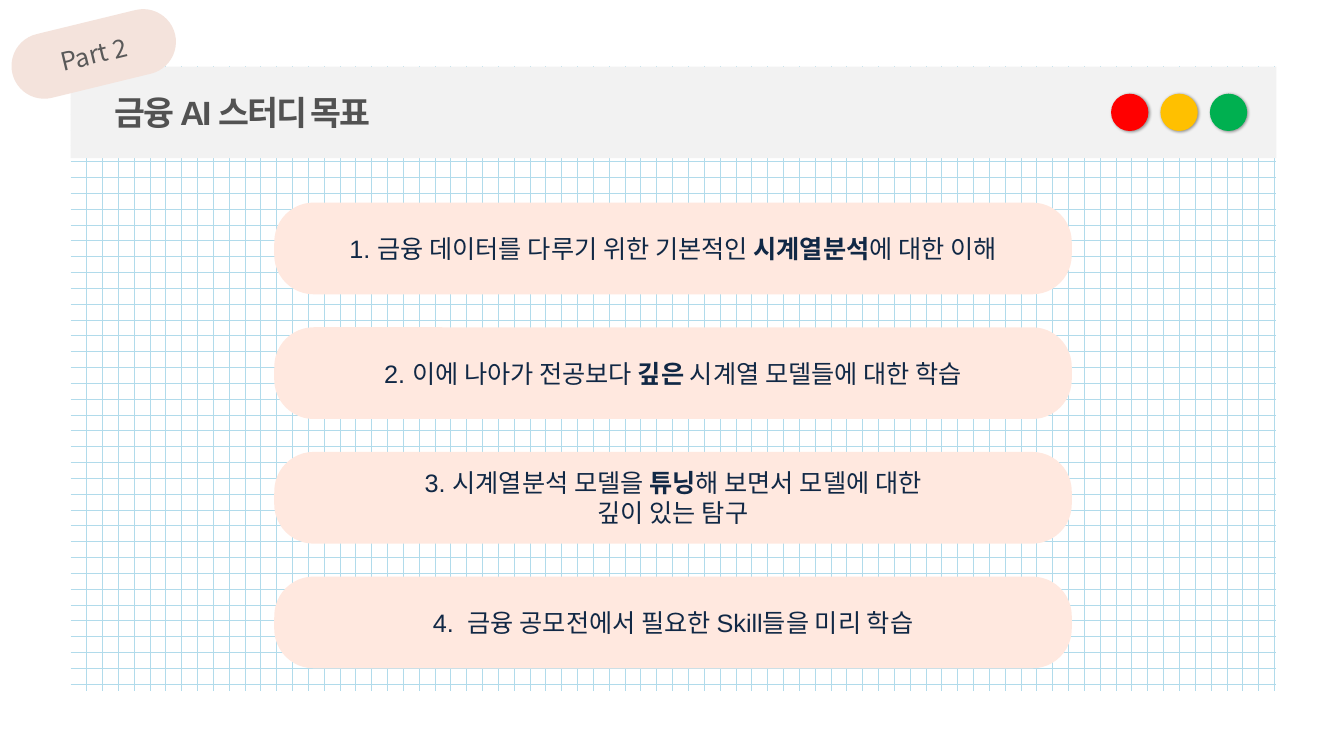
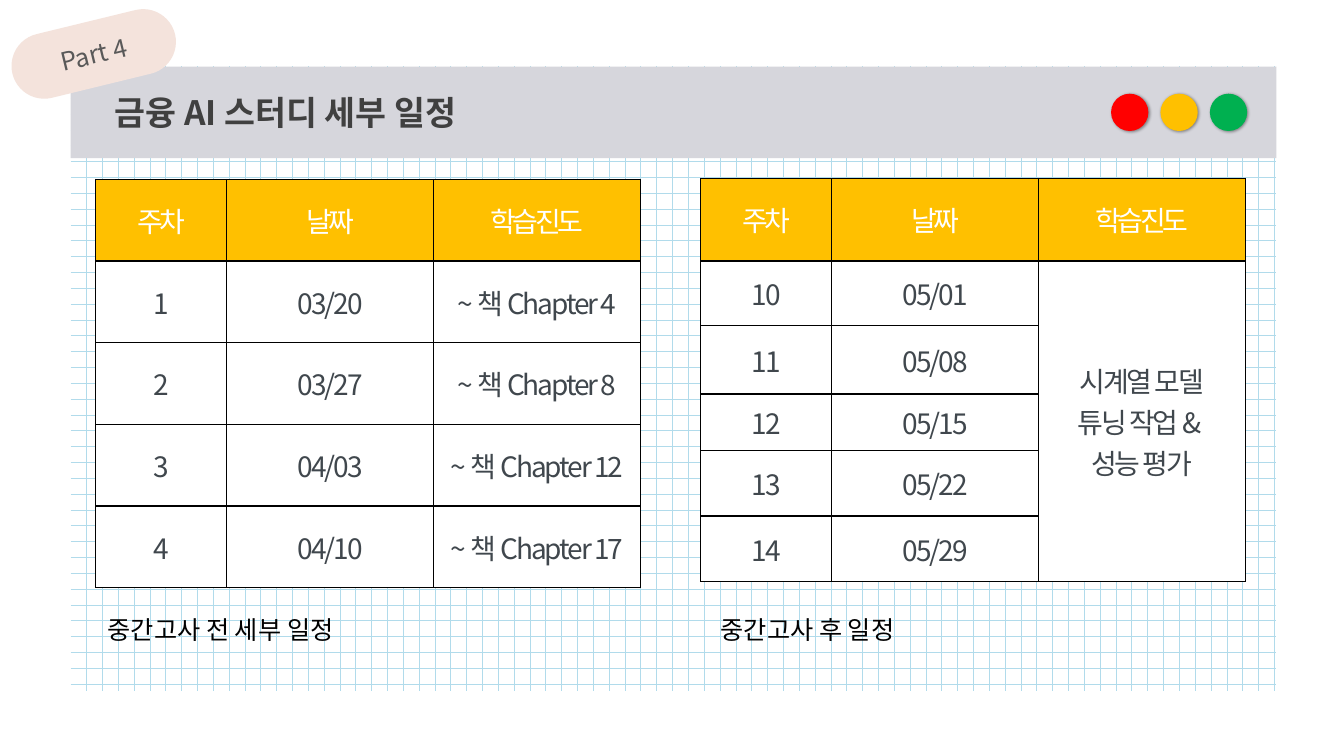
from dataclasses import dataclass

from lxml import etree
from pptx import Presentation
from pptx.dml.color import RGBColor
from pptx.enum.dml import MSO_PATTERN
from pptx.enum.shapes import MSO_SHAPE
from pptx.enum.text import MSO_ANCHOR, PP_ALIGN
from pptx.oxml import parse_xml
from pptx.oxml.ns import nsdecls, qn
from pptx.util import Inches, Pt

RECT = MSO_SHAPE.RECTANGLE
ROUND = MSO_SHAPE.ROUNDED_RECTANGLE
OVAL = MSO_SHAPE.OVAL
LEFT, CENTER = PP_ALIGN.LEFT, PP_ALIGN.CENTER
MIDDLE = MSO_ANCHOR.MIDDLE
GRID = MSO_PATTERN.DOTTED_GRID


@dataclass(frozen=True)
class TextStyle:
    size: float
    color: str
    font: str
    bold: bool = False
    spacing: float = 0


@dataclass(frozen=True)
class Theme:
    sans: str = "Arial"
    korean: str = "Noto Sans CJK KR"
    paper: str = "FFFFFF"
    grid: str = "B1DBEB"
    tag_fill: str = "F4E3DC"
    goal_fill: str = "FFE8DF"
    header_fill: str = "FFC000"
    border: str = "000000"
    lights: tuple = ("FF0000", "FFC000", "00B050")
    light_band: str = "F2F2F2"
    gray_band: str = "D6D6DC"
    goal_title: TextStyle = TextStyle(24, "525252", "Arial", True, -1.5)
    plan_title: TextStyle = TextStyle(24, "404040", "Noto Sans CJK KR", True)
    tag: TextStyle = TextStyle(18, "595959", "Noto Sans CJK KR")
    goal: TextStyle = TextStyle(18, "112845", "Arial")
    caption: TextStyle = TextStyle(18, "000000", "Arial")
    header: TextStyle = TextStyle(20, "FFFFFF", "Noto Sans CJK KR", False, -3)
    cell: TextStyle = TextStyle(20, "40474D", "Noto Sans CJK KR", False, -1.5)


T = Theme()
WINDOW = (0.7, 0.66, 11.96, 6.2)

GOALS = [
    "1. 금융 데이터를 다루기 위한 기본적인 **시계열분석**에 대한 이해",
    "2. 이에 나아가 전공보다 **깊은** 시계열 모델들에 대한 학습",
    "3. 시계열분석 모델을 **튜닝**해 보면서 모델에 대한\n깊이 있는 탐구",
    "4.  금융 공모전에서 필요한 Skill들을 미리 학습",
]
HEADINGS = ["주차", "날짜", "학습 진도"]
BEFORE = [
    ["1", "03/20", "~ 책 Chapter 4"],
    ["2", "03/27", "~ 책 Chapter 8"],
    ["3", "04/03", "~ 책 Chapter 12"],
    ["4", "04/10", "~ 책 Chapter 17"],
]
AFTER = [
    ["10", "05/01", "시계열 모델\n튜닝 작업 & \n성능 평가"],
    ["11", "05/08", ""],
    ["12", "05/15", ""],
    ["13", "05/22", ""],
    ["14", "05/29", ""],
]


def rgb(value):
    return RGBColor.from_string(value)


def inches(box):
    return [Inches(v) for v in box]


def write(tf, text, style, align=CENTER):
    tf.word_wrap = True
    for i, line in enumerate(text.split("\n")):
        p = tf.add_paragraph() if i else tf.paragraphs[0]
        p.alignment = align
        p.font.size = Pt(style.size)
        p.font.name = style.font
        p.font.bold = style.bold
        p.font.color.rgb = rgb(style.color)
        props = p._p.pPr.find(qn("a:defRPr"))
        props.set("spc", str(round(style.spacing * 100)))
        ea = etree.SubElement(props, qn("a:ea"))
        ea.set("typeface", T.korean)
        for j, part in enumerate(line.split("**")):
            if part:
                r = p.add_run()
                r.text = part
                if j % 2:
                    r.font.bold = True


def add_box(s, kind, box, fill, radius=None):
    sp = s.shapes.add_shape(kind, *inches(box))
    sp.shadow.inherit = False
    sp.line.fill.background()
    sp.fill.solid()
    sp.fill.fore_color.rgb = rgb(fill)
    if radius is not None:
        sp.adjustments[0] = radius
    sp.text_frame.vertical_anchor = MIDDLE
    return sp


def add_label(s, box, text, style):
    tf = s.shapes.add_textbox(*inches(box)).text_frame
    tf.vertical_anchor = MIDDLE
    write(tf, text, style, LEFT)


def add_lights(s, x, y):
    for i, color in enumerate(T.lights):
        sp = add_box(s, OVAL, (x + i * 0.49, y, 0.37, 0.37), color)
        effects = sp._element.spPr.find(qn("a:effectLst"))
        effects.append(parse_xml(
            f'<a:outerShdw {nsdecls("a")} blurRad="{Pt(2)}" dist="{Pt(1)}" '
            'dir="2700000" algn="tl" rotWithShape="0"><a:srgbClr val="000000">'
            '<a:alpha val="40000"/></a:srgbClr></a:outerShdw>'))


def add_tag(s, box, text):
    sp = add_box(s, ROUND, box, T.tag_fill, 0.5)
    sp.rotation = 346.3
    write(sp.text_frame, text, T.tag)


def add_window(prs, part, title, style, band):
    s = prs.slides.add_slide(prs.slide_layouts[6])
    x, y, w, h = WINDOW
    paper = add_box(s, RECT, WINDOW, T.paper)
    paper.fill.patterned()
    paper.fill.pattern = GRID
    paper.fill.fore_color.rgb = rgb(T.grid)
    paper.fill.back_color.rgb = rgb(T.paper)
    add_box(s, RECT, (x, y, w, 0.91), band)
    add_lights(s, x + w - 1.64, y + 0.27)
    add_label(s, (x + 0.34, y + 0.2, 8, 0.5), title, style)
    add_tag(s, (x - 0.6, y - 0.45, 1.66, 0.65), part)
    return s


def add_goals(s, box, goals):
    x, y, w, h = box
    height = 0.91
    step = (h - height) / (len(goals) - 1)
    for i, goal in enumerate(goals):
        sp = add_box(s, ROUND, (x, y + i * step, w, height), T.goal_fill, 0.43)
        write(sp.text_frame, goal, T.goal)


def add_borders(cell):
    props = cell._tc.get_or_add_tcPr()
    for i, side in enumerate(("lnL", "lnR", "lnT", "lnB")):
        props.insert(i, parse_xml(
            f'<a:{side} {nsdecls("a")} w="{Pt(1)}"><a:solidFill>'
            f'<a:srgbClr val="{T.border}"/></a:solidFill></a:{side}>'))


def add_schedule(s, x, y, rows, heights, merged=False):
    widths = (1.3, 2.05, 2.05)
    data = [HEADINGS] + rows
    frame = s.shapes.add_table(len(data), len(widths),
                               *inches((x, y, sum(widths), sum(heights))))
    table = frame.table
    table.first_row = table.horz_banding = False
    for column, width in zip(table.columns, widths):
        column.width = Inches(width)
    for row, height in zip(table.rows, heights):
        row.height = Inches(height)
    for i, values in enumerate(data):
        for j, value in enumerate(values):
            cell = table.cell(i, j)
            cell.vertical_anchor = MIDDLE
            cell.fill.solid()
            cell.fill.fore_color.rgb = rgb(T.paper if i else T.header_fill)
            add_borders(cell)
            if value:
                write(cell.text_frame, value, T.cell if i else T.header)
    if merged:
        table.cell(1, 2).merge(table.cell(len(rows), 2))


def goals_slide(prs):
    s = add_window(prs, "Part 2", "금융 AI 스터디 목표", T.goal_title, T.light_band)
    add_goals(s, (2.72, 2.01, 7.91, 4.62), GOALS)


def schedule_slide(prs):
    s = add_window(prs, "Part 4", "금융 AI 스터디 세부 일정", T.plan_title, T.gray_band)
    add_schedule(s, 0.95, 1.78, BEFORE, [0.81] * 5)
    add_schedule(s, 6.95, 1.77, AFTER, [0.82, 0.64, 0.68, 0.56, 0.65, 0.65], True)
    add_label(s, (0.97, 6.04, 5.31, 0.4), "중간고사 전 세부 일정", T.caption)
    add_label(s, (7.05, 6.04, 5.31, 0.4), "중간고사 후 일정", T.caption)


def main():
    prs = Presentation()
    prs.slide_width, prs.slide_height = Inches(13.33), Inches(7.5)
    goals_slide(prs)
    schedule_slide(prs)
    prs.save("out.pptx")


if __name__ == "__main__":
    main()
